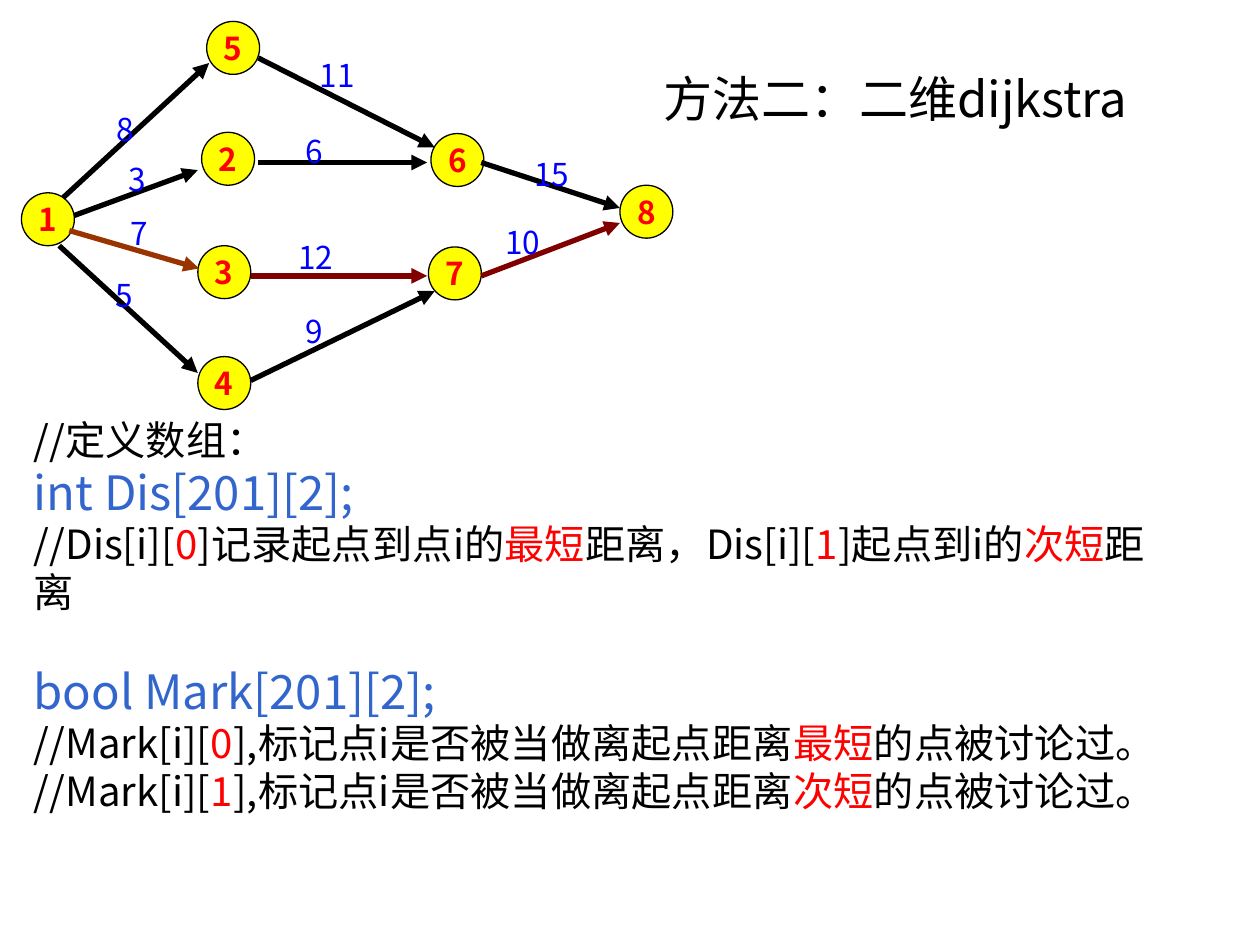
from lxml import etree
from pptx import Presentation
from pptx.dml.color import RGBColor
from pptx.enum import shapes, text
from pptx.oxml import ns
from pptx import util as u

PX = 9144
FONT = "Noto Sans CJK JP"
HUES = {"ink": "000000", "red": "FF0000", "blue": "0000FF", "code": "3366CC",
        "fill": "FFFF00", "rust": "993300", "wine": "800000"}

NODES = [("1", 0, 136), ("5", 147, 0), ("2", 143, 88), ("3", 140, 178),
         ("4", 140, 266), ("6", 325, 89), ("7", 323, 179), ("8", 475, 130)]
EDGES = [
    (33, 140, 149, 33, "ink"), (42, 154, 140, 118, "ink"),
    (38, 166, 141, 196, "rust"), (30, 178, 140, 279, "ink"),
    (188, 29, 328, 100, "ink"), (188, 112, 322, 112, "ink"),
    (182, 202, 322, 202, "wine"), (182, 285, 328, 214, "ink"),
    (365, 112, 475, 148, "ink"), (365, 202, 475, 160, "wine"),
]
COSTS = [("8", 66, 66), ("11", 227, 23), ("15", 397, 101), ("3", 75, 105),
         ("6", 216, 83), ("7", 77, 148), ("5", 65, 197), ("12", 210, 167),
         ("10", 374, 155), ("9", 216, 226)]


def hue(name):
    return RGBColor.from_string(HUES[name])


def tag(root, name, **attrs):
    return etree.SubElement(root, ns.qn(name), attrs)


def write(para, parts, size, bold=False):
    para.line_spacing = u.Pt(size * 1.19)
    for words, tint in parts:
        run = para.add_run()
        run.text = words
        font = run.font
        font.size, font.bold, font.name = u.Pt(size), bold, FONT
        font.color.rgb = hue(tint)
        tag(run._r.get_or_add_rPr(), "a:ea", typeface=FONT)


def label(slide, box, parts, size):
    frame = slide.shapes.add_textbox(*(n * PX for n in box)).text_frame
    frame.word_wrap = True
    write(frame.paragraphs[0], parts, size)
    return frame


def node(slide, name, x, y):
    disc = slide.shapes.add_shape(
        shapes.MSO_SHAPE.OVAL, x * PX, y * PX, 42 * PX, 42 * PX)
    disc.shadow.inherit = False
    disc.fill.solid()
    disc.fill.fore_color.rgb = hue("fill")
    disc.line.color.rgb = hue("ink")
    disc.line.width = u.Pt(0.75)
    frame = disc.text_frame
    frame.word_wrap = False
    frame.vertical_anchor = text.MSO_ANCHOR.MIDDLE
    para = frame.paragraphs[0]
    para.alignment = text.PP_ALIGN.CENTER
    write(para, [(name, "red")], 18, True)


def arrow(slide, ends, tint):
    edge = slide.shapes.add_connector(
        shapes.MSO_CONNECTOR.STRAIGHT, *(n * PX for n in ends))
    edge.line.color.rgb = hue(tint)
    edge.line.width = u.Pt(3)
    tag(edge.line._get_or_add_ln(), "a:tailEnd", type="triangle")
    tag(edge._element.spPr, "a:effectLst")


def graph(slide, left, top):
    for name, x, y in NODES:
        node(slide, name, left + x, top + y)
    for x1, y1, x2, y2, tint in EDGES:
        arrow(slide, (left + x1, top + y1, left + x2, top + y2), tint)
    for cost, x, y in COSTS:
        label(slide, (left + x, top + y, 49, 40), [(cost, "blue")], 18)


def title(slide, box):
    label(slide, box, [("方法二：二维dijkstra", "ink")], 28)


def mark(digit, kind):
    return [("//Mark[i][", "ink"), (digit, "red"),
            ("],标记点i是否被当做离起点距离", "ink"), (kind, "red"),
            ("的点被讨论过。", "ink")]


def notes(slide, box):
    frame = label(slide, box, [("//定义数组：", "ink")], 23)
    dist = [("//Dis[i][", "ink"), ("0", "red"), ("]记录起点到点i的", "ink"),
            ("最短", "red"), ("距离，Dis[i][", "ink"), ("1", "red"),
            ("]起点到i的", "ink"), ("次短", "red"), ("距离", "ink")]
    rows = [
        ([("int Dis[201][2];", "code")], 27, 0),
        (dist, 23, 0),
        ([("bool Mark[201][2];", "code")], 27, 27),
        (mark("0", "最短"), 23, 0),
        (mark("1", "次短"), 23, 0),
    ]
    for parts, size, gap in rows:
        para = frame.add_paragraph()
        para.space_before = u.Pt(gap)
        write(para, parts, size)


def main():
    deck = Presentation()
    deck.slide_width, deck.slide_height = 1000 * PX, 750 * PX
    slide = deck.slides.add_slide(deck.slide_layouts[6])
    graph(slide, 17, 17)
    title(slide, (517, 50, 433, 57))
    notes(slide, (17, 325, 925, 330))
    deck.save("out.pptx")


if __name__ == "__main__":
    main()
